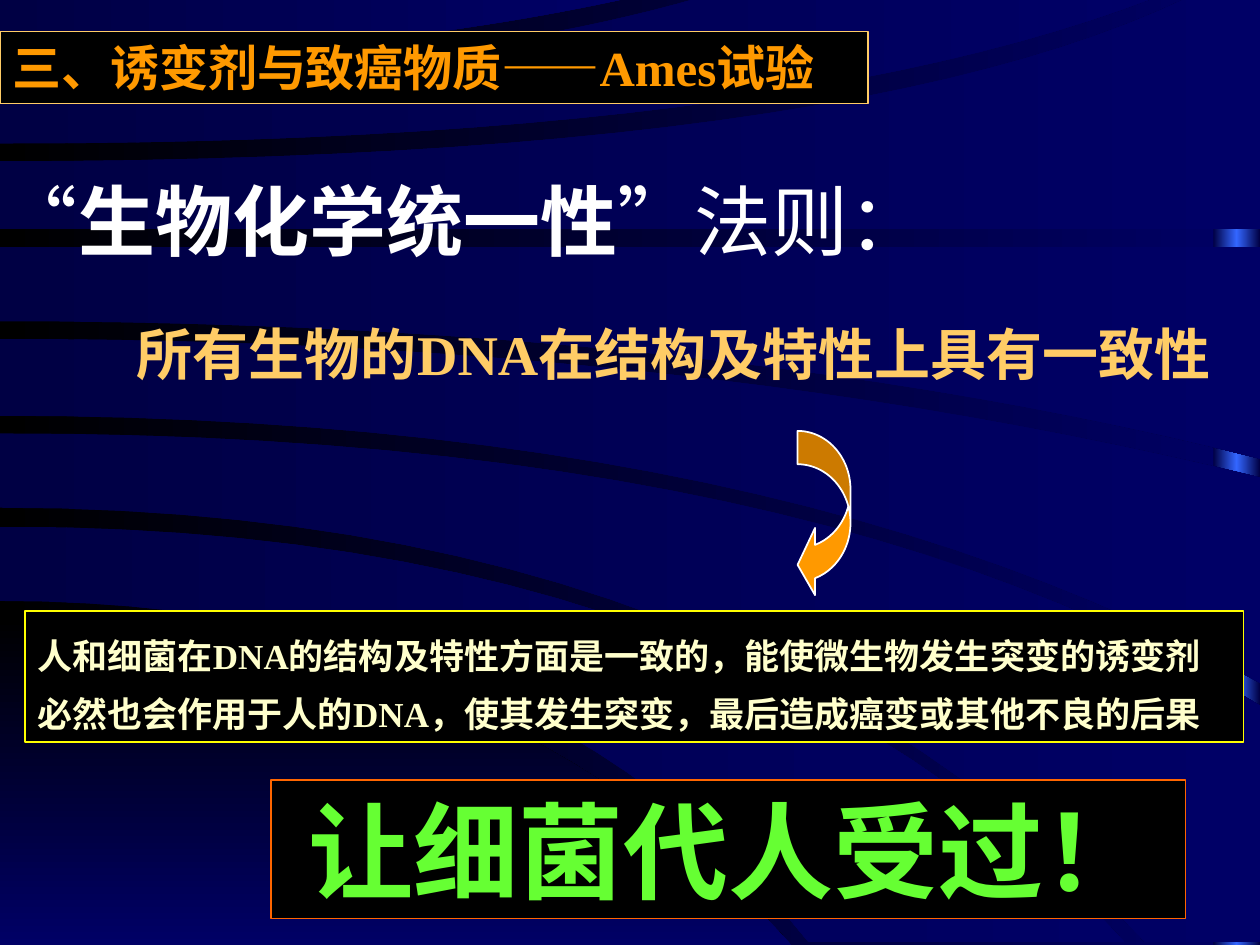
from copy import deepcopy

from pptx import Presentation
from pptx.dml.color import RGBColor
from pptx.enum.lang import MSO_LANGUAGE_ID
from pptx.enum.shapes import MSO_SHAPE
from pptx.enum.text import MSO_ANCHOR, MSO_AUTO_SIZE, PP_ALIGN
from pptx.util import Inches, Pt

RECTANGLE, CURVED_ARROW = MSO_SHAPE.RECTANGLE, MSO_SHAPE.CURVED_LEFT_ARROW
LEFT, CENTER, TOP = PP_ALIGN.LEFT, PP_ALIGN.CENTER, MSO_ANCHOR.TOP
GROW = MSO_AUTO_SIZE.SHAPE_TO_FIT_TEXT
CHINESE = MSO_LANGUAGE_ID.SIMPLIFIED_CHINESE
FONT = "Times New Roman"
COLORS = {
    "black": "000000", "navy": "000066", "midnight": "000044", "blue": "3366FF",
    "white": "FFFFFF", "yellow": "FFFF00", "cream": "FFFFCC", "gold": "FFCC66",
    "orange": "FF9900", "red": "FF6600", "green": "66FF33",
}
COLORS = {name: RGBColor.from_string(value) for name, value in COLORS.items()}

deck = Presentation()
deck.slide_width, deck.slide_height = Inches(10), Inches(7.5)
page = deck.slides.add_slide(deck.slide_layouts[6])
COLUMNS, ROWS = 1000, 750
CELL = deck.slide_width // COLUMNS


def paint_gradient(fill, names, angle=0):
    """Spread the named colours evenly; the angle runs counter-clockwise."""
    fill.gradient()
    fill.gradient_angle = angle
    stop_list = fill._fill._gradFill.gsLst
    while len(stop_list) < len(names):
        stop_list.append(deepcopy(stop_list[0]))
    for index, (stop, name) in enumerate(zip(fill.gradient_stops, names)):
        stop.position = index / (len(names) - 1)
        stop.color.rgb = COLORS[name]


def add_text(spans, place, size, color, align=LEFT, line=None, width=1,
             spacing=None, wrap=True):
    """Add a text box of (text, bold) spans; a line colour also makes it black-filled."""
    area = [cells * CELL for cells in place]
    if line:
        box = page.shapes.add_shape(RECTANGLE, *area)
        box.shadow.inherit = False
        box.fill.solid()
        box.fill.fore_color.rgb = COLORS["black"]
        box.line.color.rgb = COLORS[line]
        box.line.width = Pt(width)
    else:
        box = page.shapes.add_textbox(*area)
    frame = box.text_frame
    frame.word_wrap, frame.auto_size, frame.vertical_anchor = wrap, GROW, TOP
    para = frame.paragraphs[0]
    para.alignment = align
    if spacing:
        para.line_spacing = spacing
    for text, bold in spans:
        span = para.add_run()
        span.text = text
        span.font.name, span.font.size, span.font.bold = FONT, Pt(size), bold
        span.font.color.rgb = COLORS[color]
        span.font.language_id = CHINESE


# Background: a glowing right edge, mostly covered by sweeping bands
paint_gradient(page.background.fill, ["black", "navy"])
edge = page.shapes.add_shape(RECTANGLE, 963 * CELL, 0, 37 * CELL, ROWS * CELL)
edge.shadow.inherit = False
edge.line.fill.background()
paint_gradient(edge.fill, ["midnight", "blue", "midnight"])

# Upper and lower curve of each sweep, both level at the left edge:
# (start row, column of the bend, end column, end row)
sweeps = [
    ((491, 397, 628, 750), (750, 314, 628, 750)),
    ((418, 593, 893, 748), (477, 425, 642, 748)),
    ((344, 650, 1000, 560), (403, 590, 909, 748)),
    ((269, 550, 1000, 379), (330, 620, 1000, 542)),
    ((196, 500, 1000, 196), (255, 570, 1000, 364)),
    ((128, 672, 943, -2), (182, 500, 1000, 182)),
    ((61, 338, 556, -2), (114, 616, 917, -2)),
    ((-2, 250, 501, -2), (47, 280, 501, -2)),
]
STEPS = 24
for number, curves in enumerate(sweeps):
    upper, lower = [
        [(2 * t * (1 - t) * bend + t * t * end, start + t * t * (end_row - start))
         for t in (step / STEPS for step in range(STEPS + 1))]
        for start, bend, end, end_row in curves
    ]
    shorter, longer = sorted((upper[-1], lower[-1]))
    corner = (longer[0], shorter[1])
    outline = [(x * CELL, y * CELL) for x, y in upper + [corner] + lower[::-1]]
    builder = page.shapes.build_freeform(*map(round, outline[0]))
    builder.add_line_segments(outline[1:], close=True)
    sweep = builder.convert_to_shape()
    sweep.shadow.inherit = False
    sweep.line.fill.background()
    if number == 0:
        paint_gradient(sweep.fill, ["black", "navy"], angle=270)
    else:
        paint_gradient(sweep.fill, ["midnight", "navy"])

# Rule, conclusion and headings
add_text([("“", False), ("生物化学统一性", True), ("”法则：", False)],
         (-9, 133, 754, 84), size=44, color="white", wrap=False)
add_text([("人和细菌在DNA的结构及特性方面是一致的，能使微生物发生突变的诱变剂"
           "必然也会作用于人的DNA，使其发生突变，最后造成癌变或其他不良的后果", True)],
         (20, 485, 967, 104), size=20, color="cream", line="yellow", spacing=1.4)
add_text([("三、诱变剂与致癌物质——Ames试验", True)],
         (0, 25, 689, 57), size=28, color="orange", line="gold", width=0.75)
add_text([("所有生物的DNA在结构及特性上具有一致性", True)],
         (90, 249, 890, 117), size=32, color="gold", align=CENTER)

arrow = page.shapes.add_shape(CURVED_ARROW, *(n * CELL for n in (633, 342, 42, 133)))
arrow.shadow.inherit = False
arrow.fill.solid()
arrow.fill.fore_color.rgb = COLORS["orange"]
arrow.line.color.rgb = COLORS["white"]
arrow.line.width = Pt(1)
for index, share in enumerate((0.63, 1.27, 0.33)):
    arrow.adjustments[index] = share

add_text([("让细菌代人受过！", True)], (215, 619, 726, 110),
         size=60, color="green", align=CENTER, line="red")

deck.save("out.pptx")
